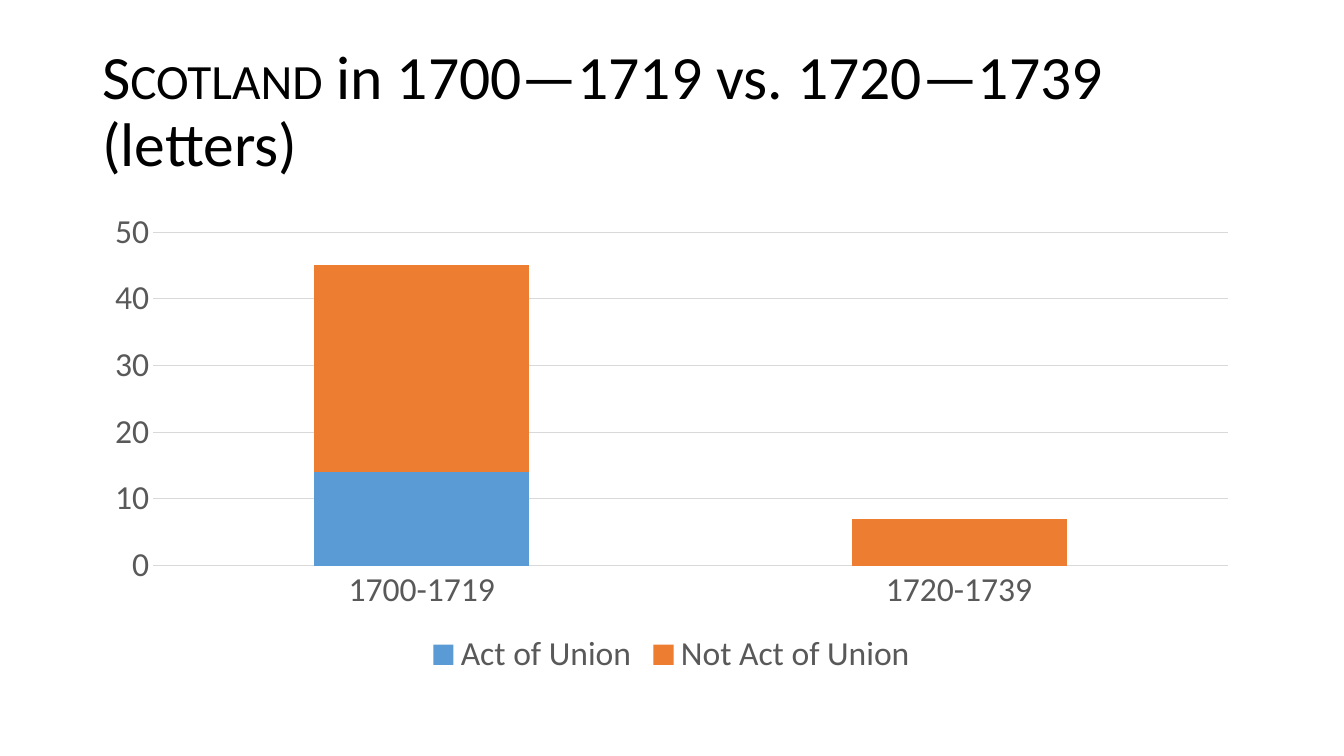
from pptx import Presentation, util as u
from pptx.chart.data import CategoryChartData
from pptx.dml.color import RGBColor
from pptx.enum import chart as charts, text

FONT = "Calibri"
COLORS = {
    "title": "000000",
    "label": "595959",
    "grid": "D9D9D9",
    "Act of Union": "5B9BD5",
    "Not Act of Union": "ED7D31",
}
LETTERS = {"Act of Union": (14, 0), "Not Act of Union": (31, 7)}


def px(length):
    return u.Emu(round(length * 914400 / 100.8))


def color(name):
    return RGBColor.from_string(COLORS[name])


def style_font(font, size, name):
    font.name = FONT
    font.size = u.Pt(size)
    font.bold = False
    font.color.rgb = color(name)


def style_line(line):
    line.color.rgb = color("grid")
    line.width = u.Pt(0.75)


def add_span(para, words, *, size=44, fill="title", small_caps=False):
    span = para.add_run()
    span.text = words
    style_font(span.font, size, fill)
    if small_caps:
        span.font._element.set("cap", "small")


def fill_title(box):
    box.left, box.top, box.width, box.height = map(px, (92, 40, 1159, 146))
    frame = box.text_frame
    frame.word_wrap = True
    frame.auto_size = text.MSO_AUTO_SIZE.NONE
    frame.vertical_anchor = text.MSO_ANCHOR.MIDDLE
    para = frame.paragraphs[0]
    para.alignment = text.PP_ALIGN.LEFT
    para.line_spacing = 0.9
    add_span(para, "Scotland", small_caps=True)
    add_span(para, " in 1700—1719 vs. 1720—1739")
    para.add_line_break()
    add_span(para, "(letters)")


def style_axis(axis):
    axis.major_tick_mark = axis.minor_tick_mark = charts.XL_TICK_MARK.NONE
    style_font(axis.tick_labels.font, 24, "label")


def add_letters_chart(page):
    data = CategoryChartData()
    data.categories = ["1700-1719", "1720-1739"]
    for name, counts in LETTERS.items():
        data.add_series(name, counts)
    chart = page.shapes.add_chart(
        charts.XL_CHART_TYPE.COLUMN_STACKED, *map(px, (92, 202, 1159, 480)), data
    ).chart
    style_font(chart.font, 10, "title")
    chart.has_title = False
    chart.has_legend = True
    chart.legend.position = charts.XL_LEGEND_POSITION.BOTTOM
    chart.legend.include_in_layout = False
    style_font(chart.legend.font, 24, "label")

    style_axis(chart.category_axis)
    style_line(chart.category_axis.format.line)
    values = chart.value_axis
    style_axis(values)
    values.minimum_scale, values.maximum_scale, values.major_unit = 0, 50, 10
    values.format.line.fill.background()
    values.has_major_gridlines = True
    style_line(values.major_gridlines.format.line)

    plot = chart.plots[0]
    plot.gap_width, plot.overlap = 150, 100
    plot.vary_by_categories = False
    for series in plot.series:
        series.format.fill.solid()
        series.format.fill.fore_color.rgb = color(series.name)


def main():
    deck = Presentation()
    deck.slide_width, deck.slide_height = px(1344), px(756)
    page = deck.slides.add_slide(deck.slide_layouts[5])
    fill_title(page.shapes.title)
    add_letters_chart(page)
    deck.save("out.pptx")


if __name__ == "__main__":
    main()
